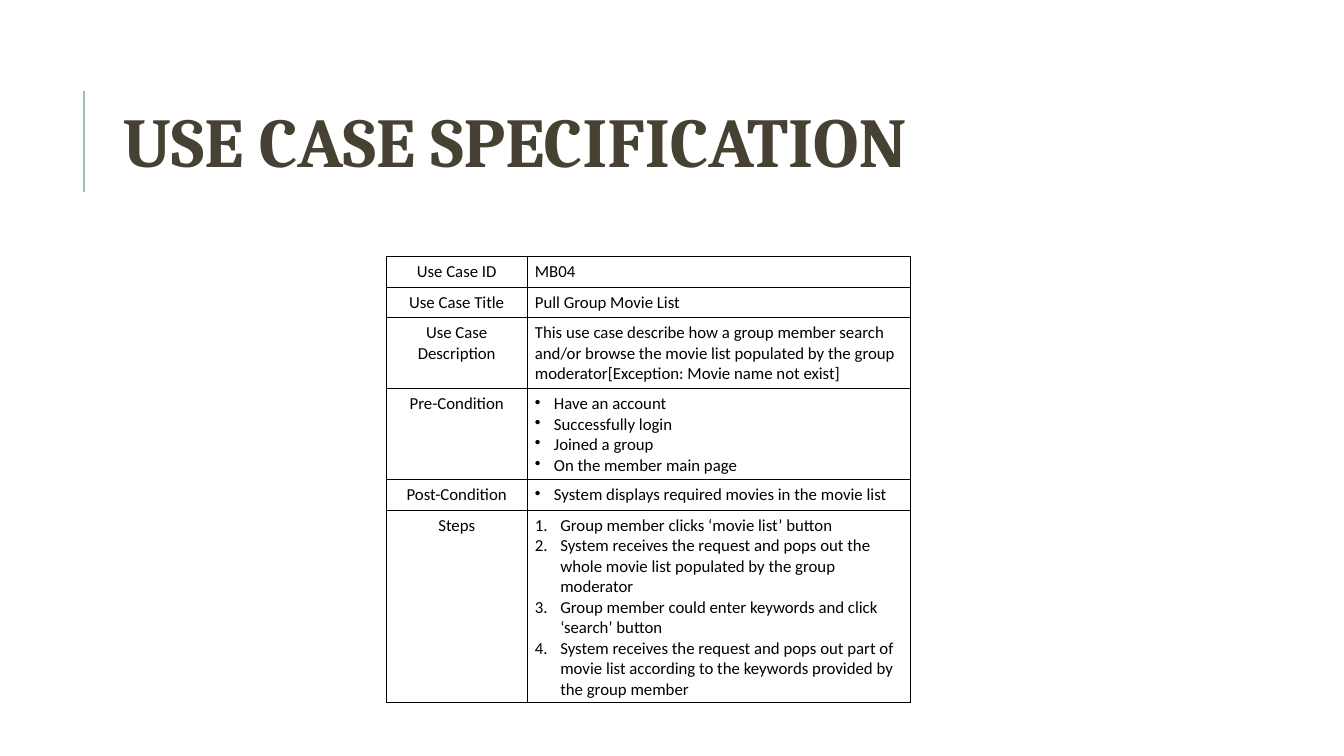
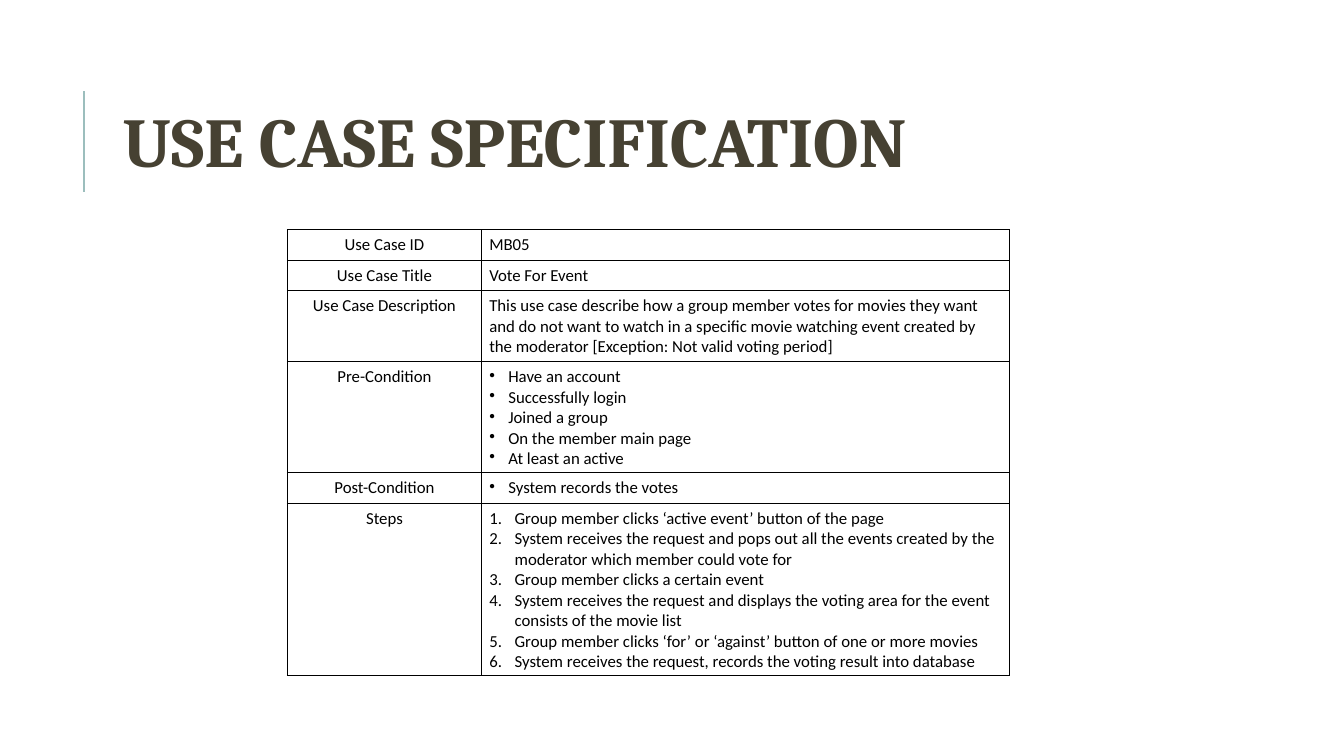
from dataclasses import dataclass

from lxml.etree import SubElement
from pptx import Presentation
from pptx.dml.color import RGBColor
from pptx.enum.shapes import MSO_CONNECTOR
from pptx.enum.text import MSO_ANCHOR, PP_ALIGN
from pptx.oxml.ns import qn
from pptx.util import Cm, Pt


@dataclass(frozen=True)
class Theme:
    title_color: str = "464132"
    text_color: str = "000000"
    accent: str = "9CBEBD"
    title_font: str = "Cambria"
    text_font: str = "Calibri"
    title_size: int = 50
    text_size: int = 12
    accent_width: float = 1.5
    border_width: float = 0.75


theme = Theme()

LABELS = ["Use Case ID", "Use Case Title", "Use Case Description",
          "Pre-Condition", "Post-Condition", "Steps"]
LIST_STYLES = {
    "Pre-Condition": ("buChar", {"char": "•"}, Cm(0.48)),
    "Post-Condition": ("buChar", {"char": "•"}, Cm(0.48)),
    "Steps": ("buAutoNum", {"type": "arabicPeriod"}, Cm(0.64)),
}
SHARED_CONDITIONS = ["Have an account", "Successfully login",
                     "Joined a group", "On the member main page"]

# Each use case: table corner, column widths, lines per row, right-hand text
USE_CASES = [
    {
        "left": 9.73, "top": 6.47, "columns": [3.56, 9.65],
        "lines": [1, 1, 3, 4, 1, 9],
        "contents": [
            ["MB04"],
            ["Pull Group Movie List"],
            ["This use case describe how a group member search and/or browse "
             "the movie list populated by the group moderator"
             "[Exception: Movie name not exist]"],
            SHARED_CONDITIONS,
            ["System displays required movies in the movie list"],
            ["Group member clicks ‘movie list’ button",
             "System receives the request and pops out the whole movie list "
             "populated by the group moderator",
             "Group member could enter keywords and click ‘search’ button",
             "System receives the request and pops out part of movie list "
             "according to the keywords provided by the group member"],
        ],
    },
    {
        "left": 7.24, "top": 5.79, "columns": [4.9, 13.31],
        "lines": [1, 1, 3, 5, 1, 8],
        "contents": [
            ["MB05"],
            ["Vote For Event"],
            ["This use case describe how a group member votes for movies they "
             "want and do not want to watch in a specific movie watching event "
             "created by the moderator [Exception: Not valid voting period]"],
            SHARED_CONDITIONS + ["At least an active"],
            ["System records the votes"],
            ["Group member clicks ‘active event’ button of the page",
             "System receives the request and pops out all the events created "
             "by the moderator which member could vote for",
             "Group member clicks a certain event",
             "System receives the request and displays the voting area for the "
             "event consists of the movie list",
             "Group member clicks ‘for’ or ‘against’ button of one or more movies",
             "System receives the request, records the voting result into database"],
        ],
    },
]


def add_text(para, text, font, size, color, bold=False):
    span = para.add_run()
    span.text = text
    span.font.name = font
    span.font.size = Pt(size)
    span.font.bold = bold
    span.font.color.rgb = RGBColor.from_string(color)


def fill_cell(cell, texts, align, list_style=None):
    """Write one paragraph per text, and give the cell its margins and borders."""
    cell.margin_left = cell.margin_right = Cm(0.19)
    cell.margin_top = cell.margin_bottom = Cm(0.13)
    cell_props = cell._tc.get_or_add_tcPr()
    for side in ("lnL", "lnR", "lnT", "lnB"):
        border = SubElement(cell_props, qn(f"a:{side}"), w=str(Pt(theme.border_width)))
        paint = SubElement(border, qn("a:solidFill"))
        SubElement(paint, qn("a:srgbClr"), val=theme.text_color)
    cell.fill.background()

    for index, text in enumerate(texts):
        frame = cell.text_frame
        para = frame.add_paragraph() if index else frame.paragraphs[0]
        para.alignment = align
        if list_style:
            tag, attributes, indent = list_style
            para_props = para._p.get_or_add_pPr()
            para_props.set("marL", str(indent))
            para_props.set("indent", str(-indent))
            bullet_color = SubElement(para_props, qn("a:buClr"))
            SubElement(bullet_color, qn("a:srgbClr"), val=theme.text_color)
            SubElement(para_props, qn(f"a:{tag}"), attributes)
        add_text(para, text, theme.text_font, theme.text_size, theme.text_color)


deck = Presentation()
deck.slide_width, deck.slide_height = Cm(33.87), Cm(19.05)

for use_case in USE_CASES:
    page = deck.slides.add_slide(deck.slide_layouts[6])

    rule = page.shapes.add_connector(
        MSO_CONNECTOR.STRAIGHT, Cm(2.12), Cm(4.83), Cm(2.12), Cm(2.29))
    rule.line.color.rgb = RGBColor.from_string(theme.accent)
    rule.line.width = Pt(theme.accent_width)
    SubElement(rule._element.spPr, qn("a:effectLst"))

    box = page.shapes.add_textbox(Cm(2.84), Cm(1.63), Cm(27), Cm(4.17))
    box.text_frame.word_wrap = True
    box.text_frame.vertical_anchor = MSO_ANCHOR.MIDDLE
    title = box.text_frame.paragraphs[0]
    title.line_spacing = 0.8
    add_text(title, "USE CASE SPECIFICATION", theme.title_font,
             theme.title_size, theme.title_color, bold=True)

    widths = [Cm(width) for width in use_case["columns"]]
    heights = [Cm(0.25 + 0.51 * count) for count in use_case["lines"]]
    table = page.shapes.add_table(
        len(LABELS), len(widths), Cm(use_case["left"]), Cm(use_case["top"]),
        sum(widths), sum(heights)).table
    table.first_row = table.horz_banding = False
    for column, width in zip(table.columns, widths):
        column.width = width
    for row, height, label, texts in zip(
            table.rows, heights, LABELS, use_case["contents"]):
        row.height = height
        fill_cell(row.cells[0], [label], PP_ALIGN.CENTER)
        fill_cell(row.cells[1], texts, PP_ALIGN.LEFT, LIST_STYLES.get(label))

deck.save("out.pptx")
